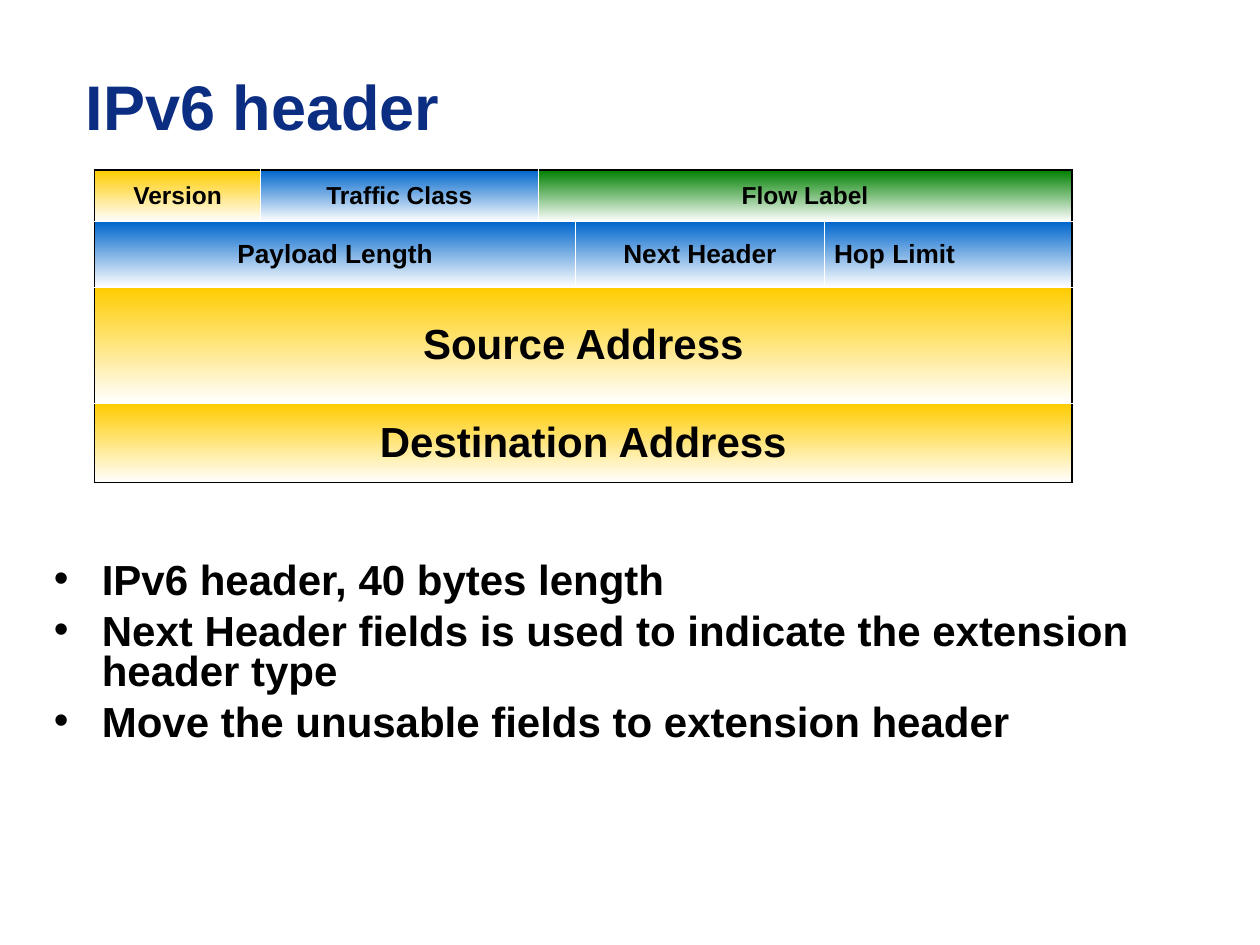
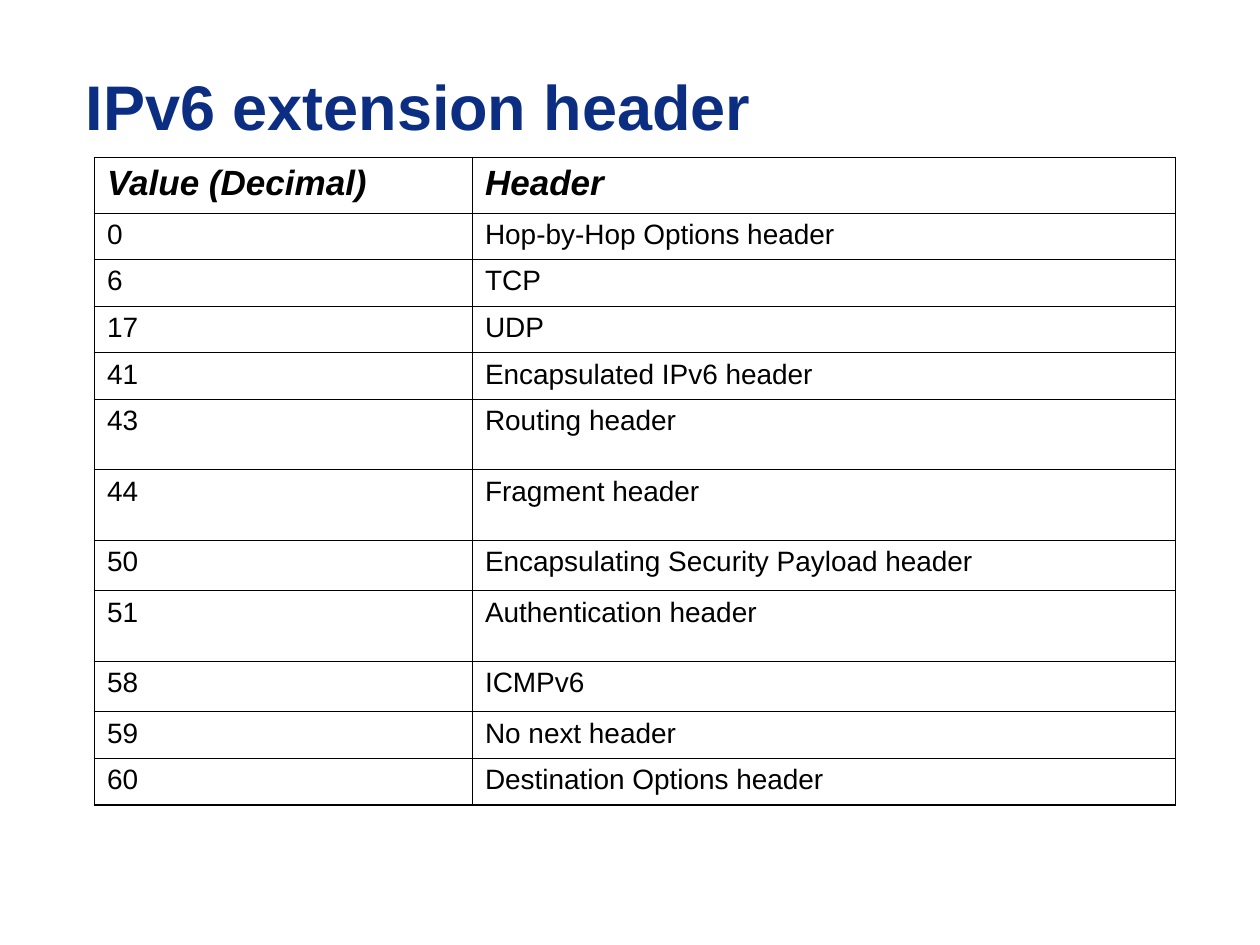
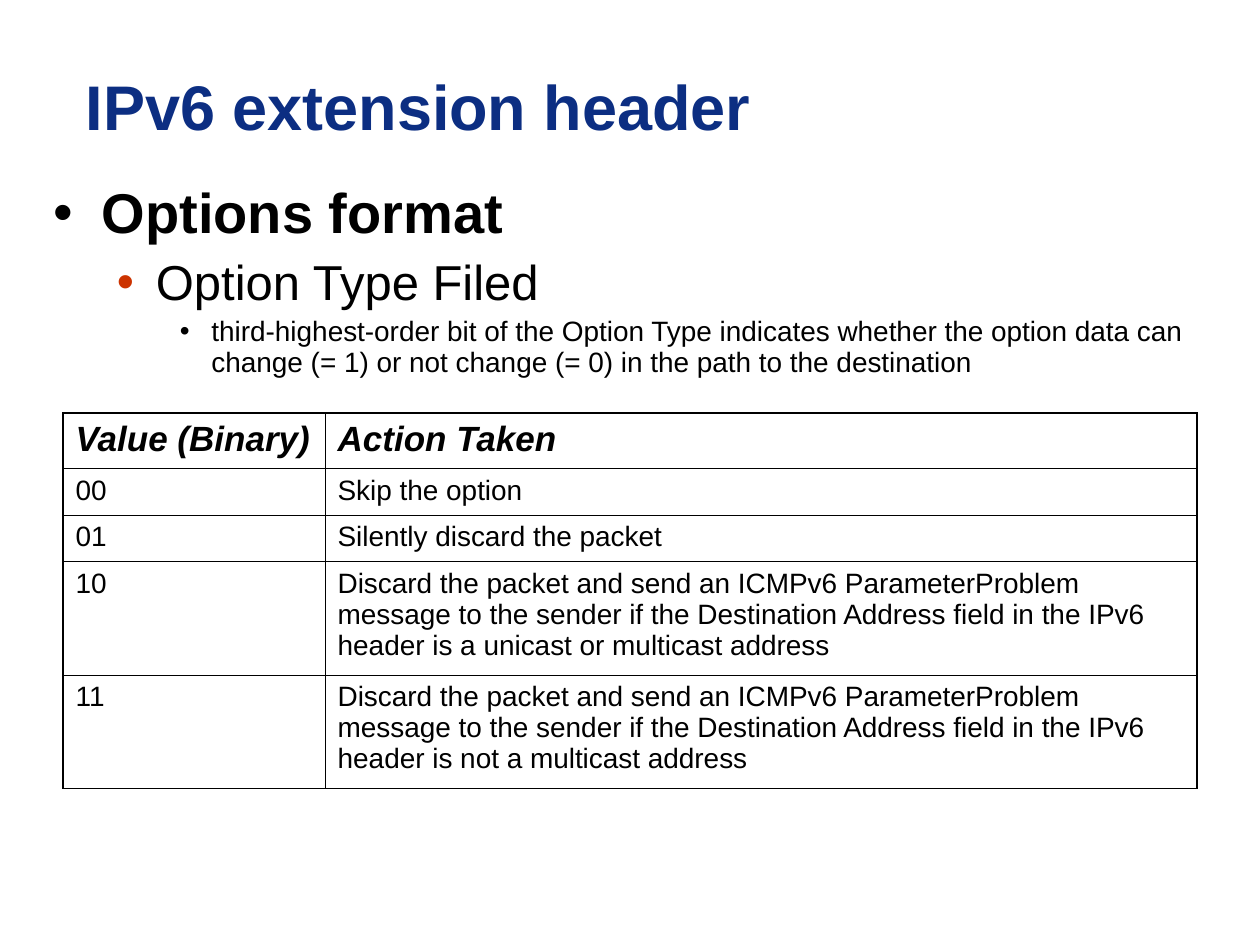
"""Build three slides on the IPv6 header and its extension headers."""
from dataclasses import dataclass

import lxml.etree
import pptx
import pptx.dml.color
import pptx.enum.text
import pptx.oxml.ns
import pptx.util

Inches = pptx.util.Inches
Pt = pptx.util.Pt
ALIGN = pptx.enum.text.PP_ALIGN
ANCHOR = pptx.enum.text.MSO_ANCHOR

FONT = "Arial"
NAVY, BLACK, WHITE = "0C2E82", "000000", "FFFFFF"
YELLOW, BLUE, GREEN, RED = "FFCC00", "0066CC", "008000", "CC3300"
OUTER_WIDTH, INNER_WIDTH = 1.08, 0.45


@dataclass
class Box:
    left: float
    top: float
    width: float
    height: float

    def lengths(self) -> tuple:
        return tuple(map(Inches, (self.left, self.top, self.width, self.height)))


@dataclass
class HeaderField:
    text: str
    row: int
    column: int
    span: int
    color: str
    size: float
    space_before: float
    alignment: ALIGN = ALIGN.CENTER


@dataclass
class BulletStyle:
    size: float
    indent: float
    hanging: float
    line_spacing: float
    space_before: float
    bold: bool = False
    color: str = BLACK
    level: int = 0


TITLE_BOX = Box(0.58, 0.25, 8.67, 1.17)
HEADER_COLUMNS = [1.32, 2.2, 0.3, 1.97, 1.97]
HEADER_ROWS = [0.41, 0.52, 0.92, 0.63]
HEADER_FIELDS = [
    HeaderField("Version", 0, 0, 1, YELLOW, 14, 3.5),
    HeaderField("Traffic Class", 0, 1, 1, BLUE, 14, 3.5),
    HeaderField("Flow Label", 0, 2, 3, GREEN, 14, 3.5),
    HeaderField("Payload Length", 1, 0, 3, BLUE, 15, 3.7),
    HeaderField("Next Header", 1, 3, 1, BLUE, 15, 3.7),
    HeaderField("Hop Limit", 1, 4, 1, BLUE, 15, 3.7, ALIGN.LEFT),
    HeaderField("Source Address", 2, 0, 5, YELLOW, 24, 6),
    HeaderField("Destination Address", 3, 0, 5, YELLOW, 24, 6),
]

SUMMARY_STYLE = BulletStyle(24, 0.38, 0.38, 0.8, 6, bold=True)
SUMMARY_BULLETS = [
    ("IPv6 header, 40 bytes length", SUMMARY_STYLE),
    ("Next Header fields is used to indicate the extension header type", SUMMARY_STYLE),
    ("Move the unusable fields to extension header", SUMMARY_STYLE),
]
OPTION_BULLETS = [
    ("Options format", BulletStyle(32, 0.38, 0.38, 0.9, 8, bold=True)),
    ("Option Type Filed", BulletStyle(28, 0.81, 0.31, 0.9, 7, color=RED, level=1)),
    ("third-highest-order bit of the Option Type indicates whether the option data "
     "can change (= 1) or not change (= 0) in the path to the destination",
     BulletStyle(16, 1.25, 0.25, 0.9, 4, level=2)),
]

EXTENSION_ROWS = [
    ("Value (Decimal)", "Header"),
    ("0", "Hop-by-Hop Options header"),
    ("6", "TCP"),
    ("17", "UDP"),
    ("41", "Encapsulated IPv6 header"),
    ("43", "Routing header"),
    ("44", "Fragment header"),
    ("50", "Encapsulating Security Payload header"),
    ("51", "Authentication header"),
    ("58", "ICMPv6"),
    ("59", "No next header"),
    ("60", "Destination Options header"),
]
EXTENSION_HEIGHTS = [0.44] + [0.37] * 4 + [0.56, 0.56, 0.4, 0.56, 0.4, 0.37, 0.37]

DISCARD = ("Discard the packet and send an ICMPv6 ParameterProblem message to the sender "
           "if the Destination Address field in the IPv6 header is {} address")
ACTION_ROWS = [
    ("Value (Binary)", "Action Taken"),
    ("00", "Skip the option"),
    ("01", "Silently discard the packet"),
    ("10", DISCARD.format("a unicast or multicast")),
    ("11", DISCARD.format("not a multicast")),
]
ACTION_HEIGHTS = [0.44, 0.37, 0.37, 0.9, 0.9]


def rgb(color: str) -> pptx.dml.color.RGBColor:
    """Turn a hex string into a colour."""
    return pptx.dml.color.RGBColor.from_string(color)


def add_element(parent, tag: str, **attributes: str):
    """Append a DrawingML element to its parent."""
    return lxml.etree.SubElement(parent, pptx.oxml.ns.qn(tag), **attributes)


def format_runs(paragraph, size: float, color: str = BLACK,
                bold: bool = False, italic: bool = False) -> None:
    """Give every run of a paragraph the same font."""
    for run in paragraph.runs:
        run.font.name = FONT
        run.font.size = Pt(size)
        run.font.bold = bold
        run.font.italic = italic
        run.font.color.rgb = rgb(color)


def add_titled_slide(presentation, title: str):
    """Add a title-only slide with the shared title style."""
    slide = presentation.slides.add_slide(presentation.slide_layouts[5])
    shape = slide.shapes.title
    shape.left, shape.top, shape.width, shape.height = TITLE_BOX.lengths()
    text_frame = shape.text_frame
    text_frame.text = title
    text_frame.vertical_anchor = ANCHOR.MIDDLE
    text_frame.auto_size = pptx.enum.text.MSO_AUTO_SIZE.NONE
    paragraph = text_frame.paragraphs[0]
    paragraph.alignment = ALIGN.LEFT
    format_runs(paragraph, 36, NAVY, bold=True)
    return slide


def add_bullets(slide, box: Box, bullets: list[tuple[str, BulletStyle]]) -> None:
    """Add a text box of bulleted paragraphs."""
    text_frame = slide.shapes.add_textbox(*box.lengths()).text_frame
    text_frame.word_wrap = True
    text_frame.text = "\n".join(text for text, _ in bullets)
    for paragraph, (_, style) in zip(text_frame.paragraphs, bullets):
        paragraph.level = style.level
        paragraph.line_spacing = style.line_spacing
        paragraph.space_before = Pt(style.space_before)
        format_runs(paragraph, style.size, bold=style.bold)
        properties = paragraph._p.get_or_add_pPr()
        properties.set("marL", str(Inches(style.indent)))
        properties.set("indent", str(-Inches(style.hanging)))
        bullet_color = add_element(properties, "a:buClr")
        add_element(bullet_color, "a:srgbClr", val=style.color)
        add_element(properties, "a:buFont", typeface=FONT)
        add_element(properties, "a:buChar", char="•")


def add_grid(slide, left: float, top: float, columns: list[float], rows: list[float]):
    """Add an unstyled table with the given column widths and row heights."""
    box = Box(left, top, sum(columns), sum(rows))
    table = slide.shapes.add_table(len(rows), len(columns), *box.lengths()).table
    table.first_row = table.horz_banding = False
    for column, width in zip(table.columns, columns):
        column.width = Inches(width)
    for row, height in zip(table.rows, rows):
        row.height = Inches(height)
    return table


def set_borders(table, row: int, column: int, span: int, inner_color: str) -> None:
    """Draw heavy black lines on the table edge and thin lines inside it."""
    edges = {
        "a:lnL": column == 0,
        "a:lnR": column + span == len(table.columns),
        "a:lnT": row == 0,
        "a:lnB": row + 1 == len(table.rows),
    }
    properties = table.cell(row, column)._tc.get_or_add_tcPr()
    for position, (tag, is_outer) in enumerate(edges.items()):
        width = Pt(OUTER_WIDTH if is_outer else INNER_WIDTH)
        line = add_element(properties, tag, w=str(int(width)))
        fill = add_element(line, "a:solidFill")
        add_element(fill, "a:srgbClr", val=BLACK if is_outer else inner_color)
        properties.insert(position, line)


def add_header_diagram(slide) -> None:
    """Add the table of IPv6 header fields."""
    table = add_grid(slide, 0.75, 1.35, HEADER_COLUMNS, HEADER_ROWS)
    for field in HEADER_FIELDS:
        cell = table.cell(field.row, field.column)
        if field.span > 1:
            cell.merge(table.cell(field.row, field.column + field.span - 1))
        cell.text_frame.text = field.text
        cell.vertical_anchor = ANCHOR.MIDDLE
        cell.margin_left = cell.margin_right = Inches(0.08)
        paragraph = cell.text_frame.paragraphs[0]
        paragraph.alignment = field.alignment
        paragraph.space_before = Pt(field.space_before)
        format_runs(paragraph, field.size, bold=True)
        cell.fill.gradient()
        cell.fill.gradient_angle = 270
        for stop, color in zip(cell.fill.gradient_stops, (field.color, WHITE)):
            stop.color.rgb = rgb(color)
        set_borders(table, field.row, field.column, field.span, WHITE)


def add_value_table(slide, left: float, top: float, columns: list[float],
                    heights: list[float], rows: list[tuple[str, str]]) -> None:
    """Add a ruled table of values under an italic heading row."""
    table = add_grid(slide, left, top, columns, heights)
    for row, texts in enumerate(rows):
        is_heading = row == 0
        for column, text in enumerate(texts):
            cell = table.cell(row, column)
            cell.text_frame.text = text
            cell.fill.background()
            paragraph = cell.text_frame.paragraphs[0]
            paragraph.space_before = Pt(5 if is_heading else 4)
            format_runs(paragraph, 20 if is_heading else 16,
                        bold=is_heading, italic=is_heading)
            set_borders(table, row, column, 1, BLACK)


def main() -> None:
    """Build and save the presentation."""
    presentation = pptx.Presentation()
    presentation.slide_width = Inches(10)
    presentation.slide_height = Inches(7.5)

    slide = add_titled_slide(presentation, "IPv6 header")
    add_header_diagram(slide)
    add_bullets(slide, Box(0.33, 4.42, 9.08, 1.58), SUMMARY_BULLETS)

    slide = add_titled_slide(presentation, "IPv6 extension header")
    add_value_table(slide, 0.75, 1.25, [3, 5.58], EXTENSION_HEIGHTS, EXTENSION_ROWS)

    slide = add_titled_slide(presentation, "IPv6 extension header")
    add_bullets(slide, Box(0.33, 1.42, 9.33, 5.08), OPTION_BULLETS)
    add_value_table(slide, 0.5, 3.28, [2.08, 6.92], ACTION_HEIGHTS, ACTION_ROWS)

    presentation.save("out.pptx")


if __name__ == "__main__":
    main()
